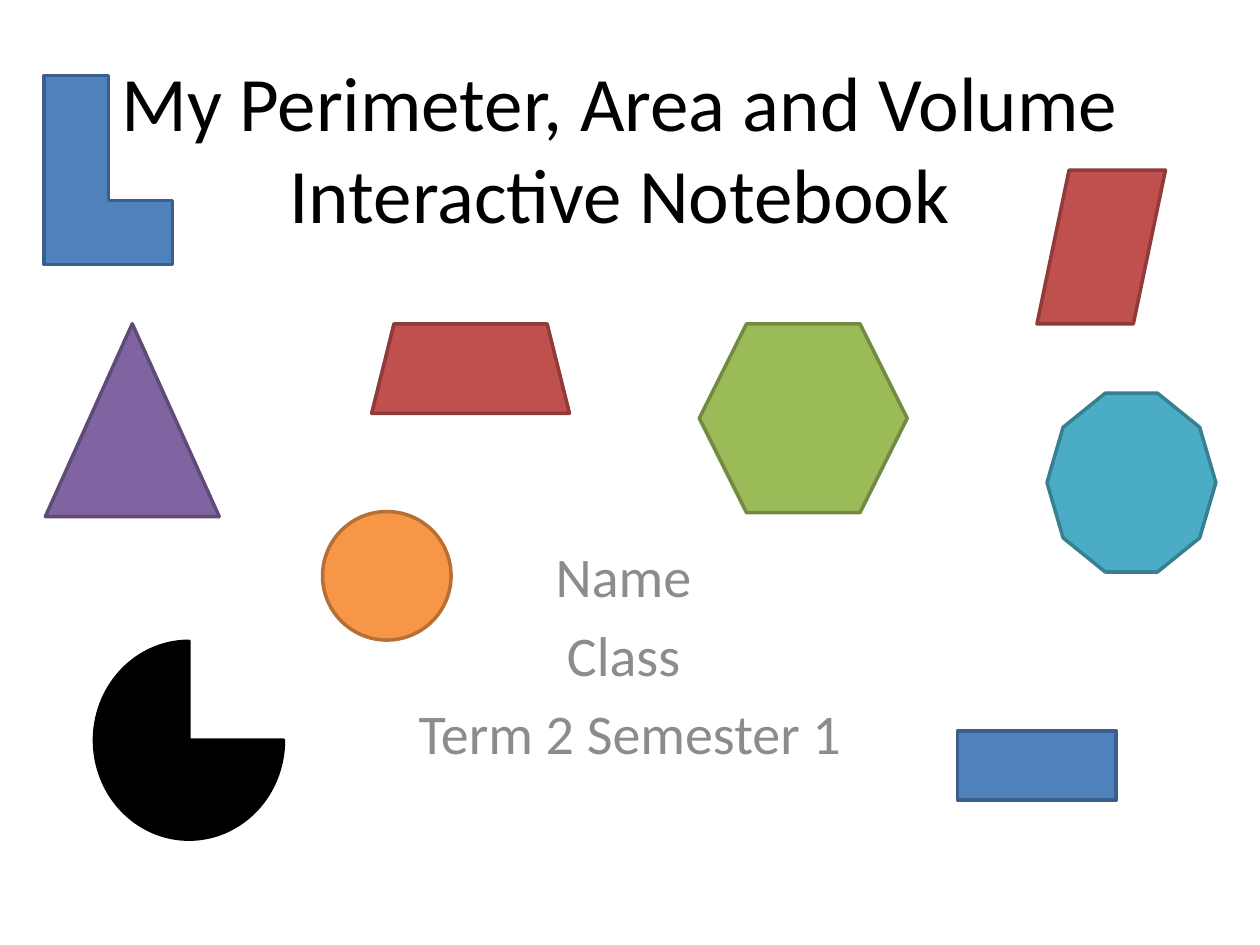
from pptx import Presentation
from pptx.dml.color import RGBColor
from pptx.enum.shapes import MSO_SHAPE
from pptx.enum.text import MSO_ANCHOR, PP_ALIGN
from pptx.util import Inches, Pt

CENTER = PP_ALIGN.CENTER
MIDDLE = MSO_ANCHOR.MIDDLE
FONT = "Calibri"
BLUE, BLUE_LINE = "4F81BD", "3A5F8C"
RED, RED_LINE = "C0504D", "8E3B39"


def rgb(value):
    return RGBColor.from_string(value)


def write(tf, lines, size, color):
    tf.word_wrap = True
    for i, line in enumerate(lines):
        p = tf.paragraphs[0] if i == 0 else tf.add_paragraph()
        p.text = line
        p.alignment = CENTER
        if i:
            p.space_before = Pt(size * 0.2)
        p.font.name = FONT
        p.font.size = Pt(size)
        p.font.color.rgb = rgb(color)


prs = Presentation()
prs.slide_width, prs.slide_height = Inches(10), Inches(7.5)
s = prs.slides.add_slide(prs.slide_layouts[5])

title = s.shapes.title
title.left, title.top = Inches(0.67), Inches(0.36)
title.width, title.height = Inches(8.5), Inches(1.61)
title.text_frame.vertical_anchor = MIDDLE
write(title.text_frame, ["My Perimeter, Area and Volume Interactive Notebook"], 44, "000000")

details = s.shapes.add_textbox(Inches(1.5), Inches(4.25), Inches(7), Inches(1.92))
write(details.text_frame, ["Name ", "Class ", "Term 2 Semester 1"], 32, "8C8C8C")

figures = [
    (MSO_SHAPE.ISOSCELES_TRIANGLE, 0.36, 2.57, 1.38, 1.53, "8064A2", "5F4A78"),
    (MSO_SHAPE.TRAPEZOID, 2.95, 2.57, 1.57, 0.71, RED, RED_LINE),
    (MSO_SHAPE.HEXAGON, 5.55, 2.57, 1.65, 1.5, "9BBB59", "738A42"),
    (MSO_SHAPE.DECAGON, 8.31, 3.12, 1.34, 1.42, "4BACC6", "377F92"),
    (MSO_SHAPE.PIE, 0.75, 5.09, 1.5, 1.57, "000000", "000000"),
    (MSO_SHAPE.RECTANGLE, 7.6, 5.8, 1.26, 0.55, BLUE, BLUE_LINE),
    (MSO_SHAPE.CORNER, 0.35, 0.6, 1.02, 1.5, BLUE, BLUE_LINE),
    (MSO_SHAPE.PARALLELOGRAM, 8.23, 1.35, 1.02, 1.22, RED, RED_LINE),
    (MSO_SHAPE.OVAL, 2.56, 4.06, 1.02, 1.02, "F79646", "B76F34"),
]
for kind, left, top, width, height, fill, line in figures:
    sp = s.shapes.add_shape(kind, Inches(left), Inches(top), Inches(width), Inches(height))
    sp.shadow.inherit = False
    sp.fill.solid()
    sp.fill.fore_color.rgb = rgb(fill)
    sp.line.color.rgb = rgb(line)
    sp.line.width = Pt(2)

prs.save("out.pptx")
